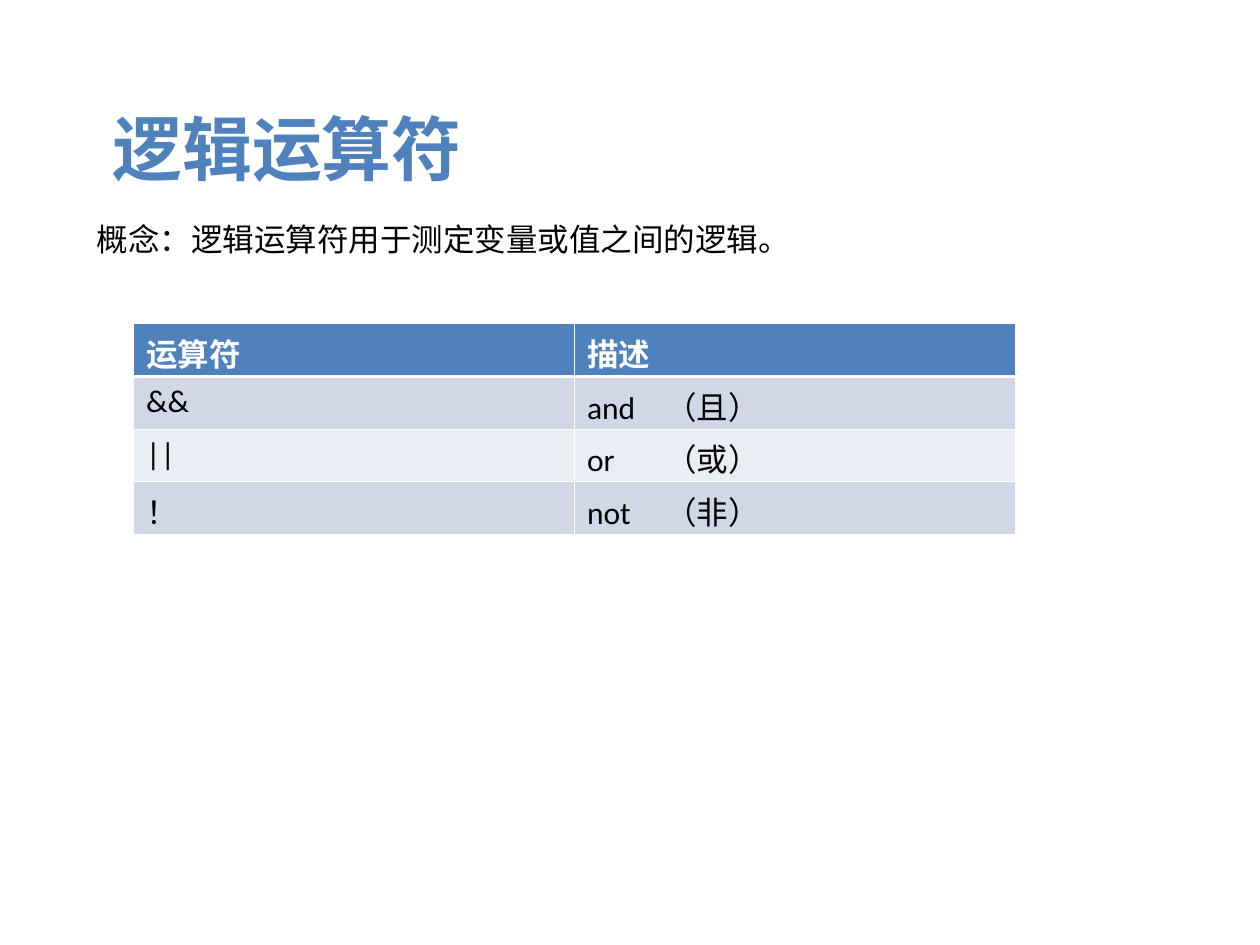
import pptx
import pptx.util
import pptx.dml.color
import pptx.enum.text
import pptx.oxml.ns
from lxml import etree
from pptx.util import Inches, Pt

COLORS = {"blue": "4F81BD", "white": "FFFFFF", "black": "000000",
          "band_dark": "D0D8E8", "band_light": "E9EDF4"}
FONT = "Calibri"


def format_text(frame, size, color, bold=False):
    frame.vertical_anchor = pptx.enum.text.MSO_ANCHOR.TOP
    paragraph = frame.paragraphs[0]
    paragraph.alignment = pptx.enum.text.PP_ALIGN.LEFT
    for run in paragraph.runs:
        run.font.name = FONT
        run.font.size = Pt(size)
        run.font.bold = bold
        run.font.color.rgb = pptx.dml.color.RGBColor.from_string(COLORS[color])


def add_border(cell, position, side, width):
    line = etree.Element(pptx.oxml.ns.qn(f"a:ln{side}"), w=str(Pt(width)))
    fill = etree.SubElement(line, pptx.oxml.ns.qn("a:solidFill"))
    etree.SubElement(fill, pptx.oxml.ns.qn("a:srgbClr"), val=COLORS["white"])
    cell._tc.get_or_add_tcPr().insert(position, line)


deck = pptx.Presentation()
deck.slide_width, deck.slide_height = Inches(10), Inches(7.5)
slide = deck.slides.add_slide(deck.slide_layouts[5])

# Title
title = slide.shapes.title
title.left, title.top = Inches(0.79), Inches(0.79)
title.width, title.height = Inches(8.77), Inches(0.77)
title.text_frame.text = "逻辑运算符"
title.text_frame.word_wrap = True
title.text_frame.auto_size = pptx.enum.text.MSO_AUTO_SIZE.SHAPE_TO_FIT_TEXT
format_text(title.text_frame, 40, "blue", bold=True)

# Concept
concept = slide.shapes.add_textbox(Inches(0.67), Inches(1.7), Inches(8.58), Inches(0.4))
concept.text_frame.text = "概念：逻辑运算符用于测定变量或值之间的逻辑。"
concept.text_frame.word_wrap = True
concept.text_frame.auto_size = pptx.enum.text.MSO_AUTO_SIZE.SHAPE_TO_FIT_TEXT
format_text(concept.text_frame, 18, "black")

# Operator table
operators = [("运算符", "描述"),
             ("&&", "and\t（且）"),
             ("||", "or\t（或）"),
             ("！", "not\t（非）")]
table = slide.shapes.add_table(len(operators), 2, Inches(1.06), Inches(2.57),
                               Inches(7), Inches(1.67)).table
for r, entries in enumerate(operators):
    is_header = r == 0
    band = "blue" if is_header else ("band_light", "band_dark")[r % 2]
    for c, entry in enumerate(entries):
        cell = table.cell(r, c)
        cell.text_frame.text = entry
        format_text(cell.text_frame, 18, "white" if is_header else "black", is_header)
        cell.fill.solid()
        cell.fill.fore_color.rgb = pptx.dml.color.RGBColor.from_string(COLORS[band])

        # White grid, heavier under the header
        widths = {"L": 0.45, "R": 0.45, "T": 1.47 if r == 1 else 0.45,
                  "B": 1.47 if is_header else 0.45}
        for position, (side, width) in enumerate(widths.items()):
            add_border(cell, position, side, width)

        # Tab stop that lines up the translations
        if "\t" in entry:
            properties = cell.text_frame.paragraphs[0]._p.get_or_add_pPr()
            stops = etree.SubElement(properties, pptx.oxml.ns.qn("a:tabLst"))
            etree.SubElement(stops, pptx.oxml.ns.qn("a:tab"),
                             pos=str(Inches(0.62)), algn="l")

# The light band falls on even rows only
for r in range(1, len(operators)):
    for c in range(2):
        band = "band_dark" if r % 2 else "band_light"
        table.cell(r, c).fill.fore_color.rgb = pptx.dml.color.RGBColor.from_string(COLORS[band])

deck.save("out.pptx")
